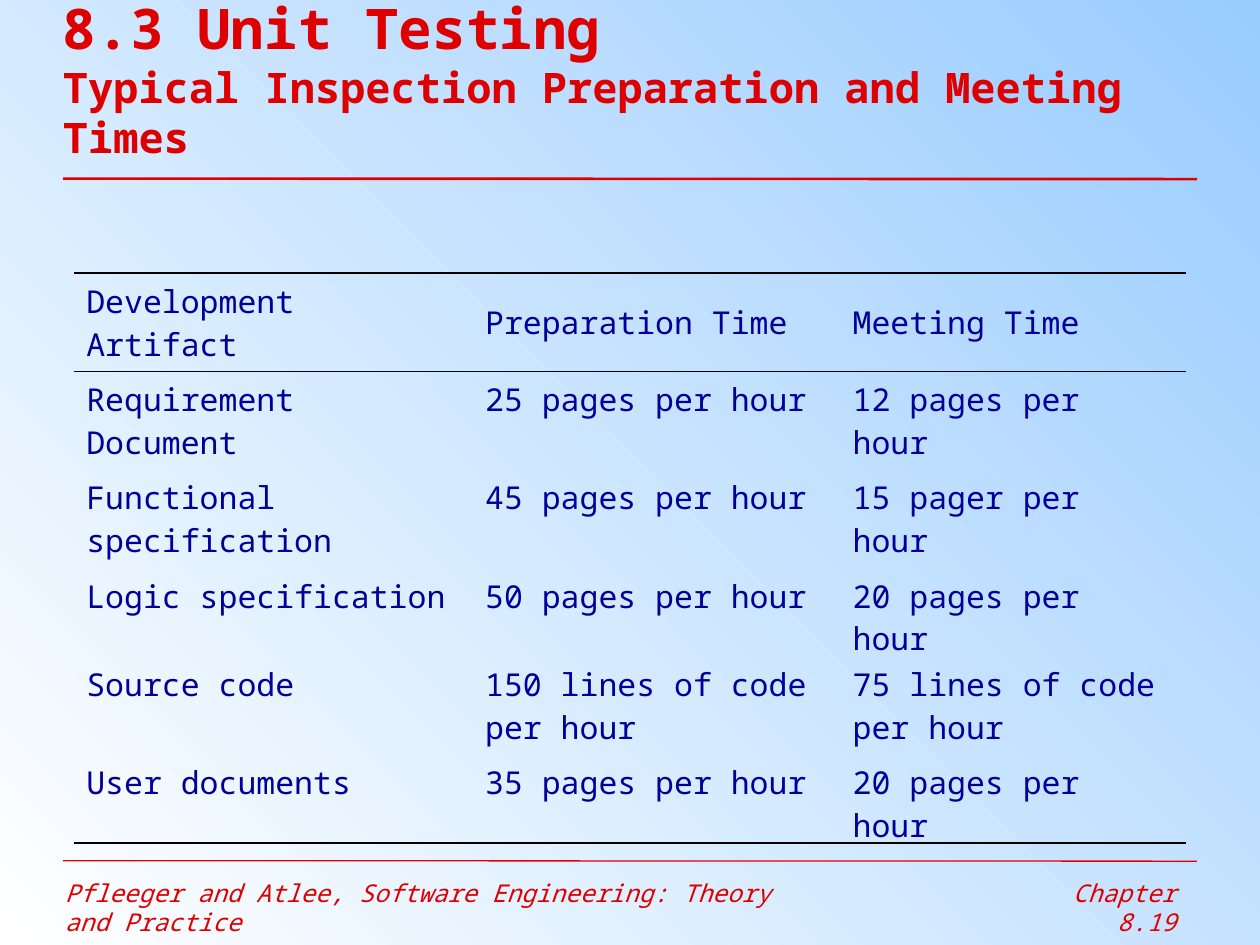
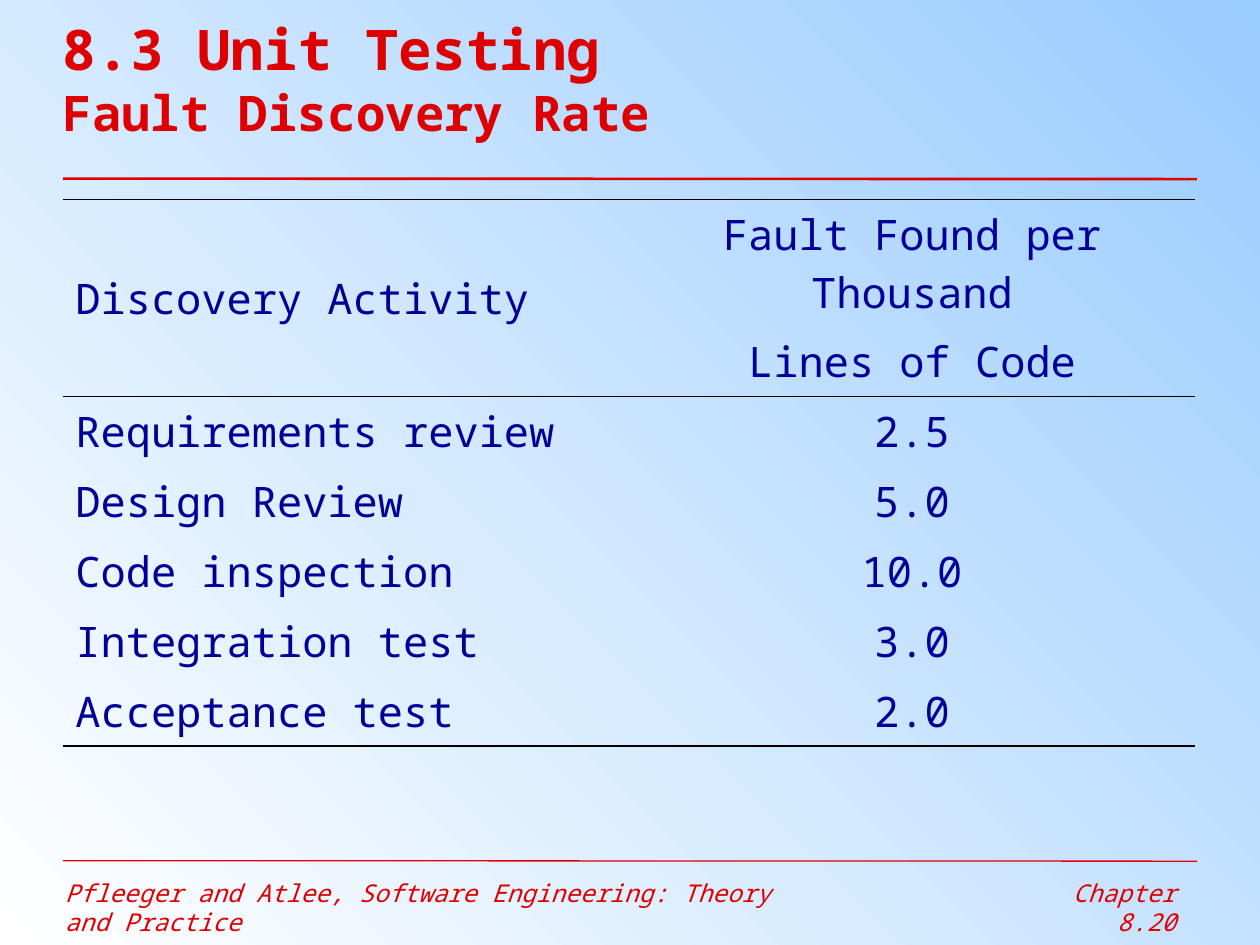
"""Builds two slides on unit testing: inspection times and fault discovery rates."""
from lxml import etree
from pptx import Presentation
from pptx.dml.color import RGBColor
from pptx.enum.shapes import MSO_CONNECTOR
from pptx.enum.text import MSO_ANCHOR, MSO_AUTO_SIZE, PP_ALIGN
from pptx.oxml import parse_xml
from pptx.oxml.ns import nsdecls, qn
from pptx.util import Cm, Pt

LEFT, MID, RIGHT = PP_ALIGN.LEFT, PP_ALIGN.CENTER, PP_ALIGN.RIGHT
TOP, CENTER = MSO_ANCHOR.TOP, MSO_ANCHOR.MIDDLE
GROW = MSO_AUTO_SIZE.SHAPE_TO_FIT_TEXT
STRAIGHT = MSO_CONNECTOR.STRAIGHT
FONT = "Noto Sans Mono"
PLAIN = "{2D5ABB26-0587-4C30-8999-92F81FD0307C}"
HUES = {"red": "DE0000", "navy": "000099", "sky": "99CCFF", "white": "FFFFFF", "black": "000000"}

RULES = [(17.35, 17.36, 0.75), (3.6, 3.61, 1.5)]
PAGES = [
    {
        "topic": "Typical Inspection Preparation and Meeting Times",
        "head": 24, "size": 18, "num": "8.19", "at": (1.49, 5.51),
        "cols": [8.04, 7.41, 6.97], "rows": [1.98, 1.98, 1.98, 1.12, 1.98, 1.12],
        "align": [LEFT, LEFT, LEFT],
        "data": [
            ["Development Artifact", "Preparation Time", "Meeting Time"],
            ["Requirement Document", "25 pages per hour", "12 pages per hour"],
            ["Functional specification", "45 pages per hour", "15 pager per hour"],
            ["Logic specification", "50 pages per hour", "20 pages per hour"],
            ["Source code", "150 lines of code per hour", "75 lines of code per hour"],
            ["User documents", "35 pages per hour", "20 pages per hour"],
        ],
    },
    {
        "topic": "Fault Discovery Rate",
        "head": 28, "size": 24, "num": "8.20", "at": (1.27, 4.02),
        "cols": [11.41, 11.41], "rows": [3.97] + [1.41] * 5,
        "align": [LEFT, MID],
        "data": [
            ["Discovery Activity", "Fault Found per Thousand\nLines of Code"],
            ["Requirements review", "2.5"],
            ["Design Review", "5.0"],
            ["Code inspection", "10.0"],
            ["Integration test", "3.0"],
            ["Acceptance test", "2.0"],
        ],
    },
]


def style(frame, size, hue, align=LEFT, bold=False, slant=False):
    """Formats every run of a text frame."""
    for para in frame.paragraphs:
        para.alignment = align
        for run in para.runs:
            font = run.font
            font.name, font.size = FONT, Pt(size)
            font.bold, font.italic = bold, slant
            font.color.rgb = RGBColor.from_string(HUES[hue])


def border(cell, side):
    """Draws a thin black line on one side (T or B) of a cell."""
    cell._tc.get_or_add_tcPr().append(parse_xml(
        f'<a:ln{side} {nsdecls("a")} w="13716"><a:solidFill>'
        f'<a:srgbClr val="{HUES["black"]}"/></a:solidFill></a:ln{side}>'))


deck = Presentation()
deck.slide_width, deck.slide_height = Cm(25.4), Cm(19.05)

for page in PAGES:
    slide = deck.slides.add_slide(deck.slide_layouts[6])
    back = slide.background.fill
    back.gradient()
    back.gradient_angle = 225
    for stop, hue, spot in zip(back.gradient_stops, ("sky", "white"), (0, 1)):
        stop.color.rgb = RGBColor.from_string(HUES[hue])
        stop.position = spot

    notes = [
        (1.06, 15.24, 0.86, "Pfleeger and Atlee, Software Engineering: Theory and Practice", LEFT),
        (19.9, 4.06, 0.94, f"Chapter {page['num']}", RIGHT),
    ]
    for left, width, height, words, align in notes:
        foot = slide.shapes.add_textbox(Cm(left), Cm(17.57), Cm(width), Cm(height)).text_frame
        foot.word_wrap, foot.auto_size = True, GROW
        foot.text = words
        style(foot, 14, "red", align, slant=True)

    for start, end, weight in RULES:
        rule = slide.shapes.add_connector(STRAIGHT, Cm(1.27), Cm(start), Cm(24.13), Cm(end))
        rule.line.color.rgb = RGBColor.from_string(HUES["red"])
        rule.line.width = Pt(weight)
        etree.SubElement(rule._element.spPr, qn("a:effectLst"))

    title = slide.shapes.add_textbox(Cm(1.27), 0, Cm(22.83), Cm(3.14)).text_frame
    title.word_wrap, title.vertical_anchor = True, CENTER
    title.margin_left = title.margin_right = title.margin_top = title.margin_bottom = 0
    title.text = f"8.3 Unit Testing\v{page['topic']}"
    style(title, 32, "red", bold=True)
    title.paragraphs[0].runs[1].font.size = Pt(page["head"])

    left, top = page["at"]
    cols, rows, data = page["cols"], page["rows"], page["data"]
    table = slide.shapes.add_table(len(rows), len(cols), Cm(left), Cm(top),
                                   Cm(sum(cols)), Cm(sum(rows))).table
    table.first_row = table.horz_banding = False
    table._tbl.tblPr.find(qn("a:tableStyleId")).text = PLAIN
    for col, width in zip(table.columns, cols):
        col.width = Cm(width)
    for r, line in enumerate(data):
        table.rows[r].height = Cm(rows[r])
        for c, words in enumerate(line):
            cell = table.cell(r, c)
            cell.margin_left = cell.margin_right = Cm(0.25)
            cell.margin_top = cell.margin_bottom = Cm(0.13)
            cell.vertical_anchor = CENTER if r == 0 else TOP
            cell.text_frame.text = words
            style(cell.text_frame, page["size"], "navy", page["align"][c])
            for para in cell.text_frame.paragraphs[1:]:
                para.space_before = Pt(7)
            if r == 0:
                border(cell, "T")
            if r in (0, len(data) - 1):
                border(cell, "B")
            cell.fill.background()

deck.save("out.pptx")
